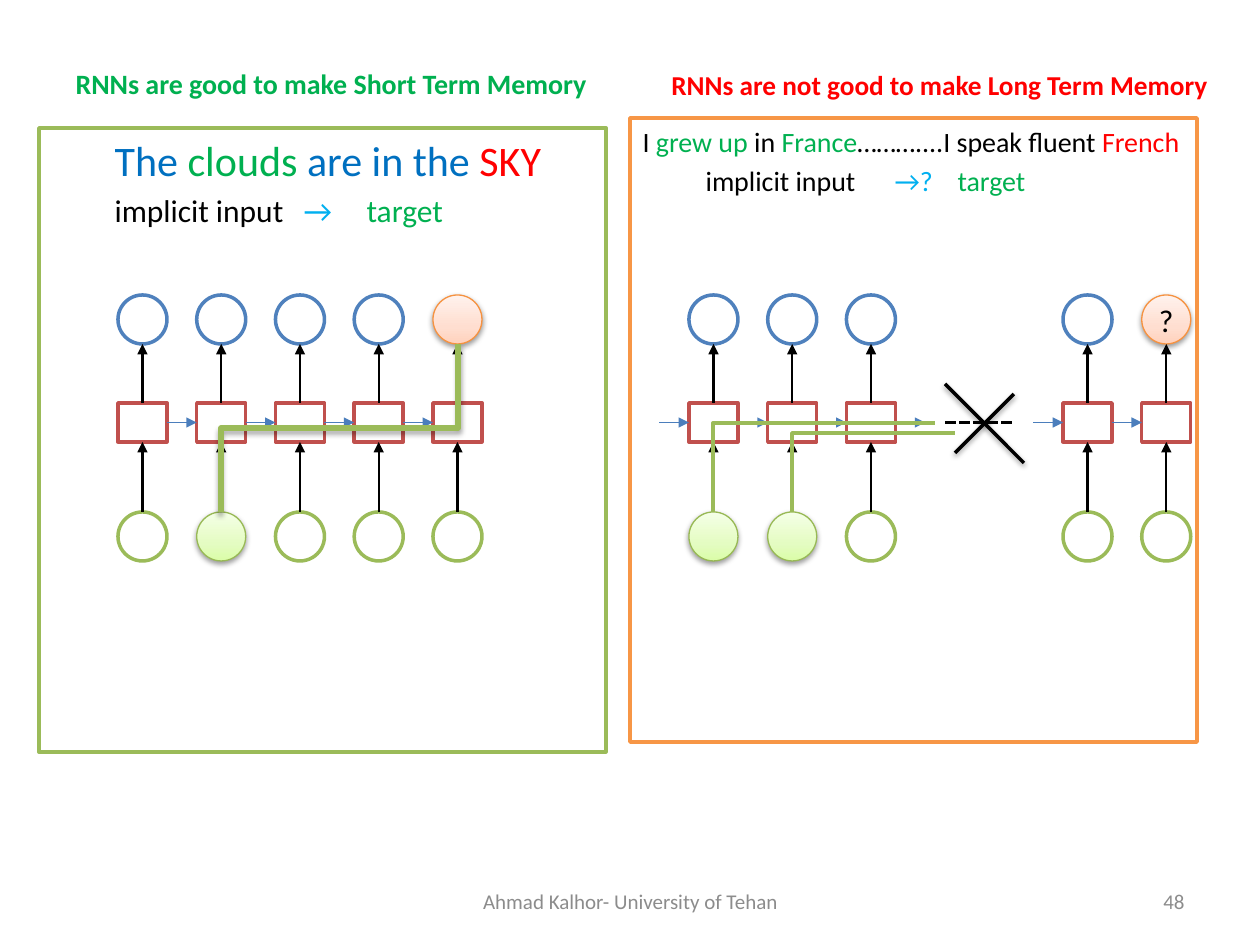
from lxml import etree
from pptx import Presentation
from pptx.dml.color import RGBColor
from pptx.enum.dml import MSO_LINE
from pptx.enum.shapes import MSO_CONNECTOR, MSO_SHAPE
from pptx.enum.text import MSO_ANCHOR, MSO_AUTO_SIZE, PP_ALIGN
from pptx.oxml.ns import qn
from pptx.util import Pt

STRAIGHT, ELBOW = MSO_CONNECTOR.STRAIGHT, MSO_CONNECTOR.ELBOW
OVAL, RECTANGLE = MSO_SHAPE.OVAL, MSO_SHAPE.RECTANGLE
LEFT, CENTER, RIGHT = PP_ALIGN.LEFT, PP_ALIGN.CENTER, PP_ALIGN.RIGHT
TOP, MIDDLE = MSO_ANCHOR.TOP, MSO_ANCHOR.MIDDLE

THEME = {
    "font": "Calibri", "black": "000000", "white": "FFFFFF", "grey": "8C8C8C",
    "green": "00B050", "red": "FF0000", "blue": "0070C0", "sky": "00B0F0",
    "output": "4F81BD", "hidden": "C0504D", "input": "9BBB59",
    "orange": "F79646", "step": "4B7EBC",
    "large": 24, "medium": 18, "small": 16, "heading": 15.6, "footer": 12,
}
# Highlighted node: line colour and gradient stops
GREEN_GLOW = ("98B955", [(0, "DAFDA7"), (35, "E4FCC2"), (100, "F5FFE7")])
ORANGE_GLOW = ("F69240", [(0, "FFD2BD"), (35, "FFDED0"), (100, "FFF2ED")])

# Content: each run is (text, colour, tab stop in px or None)
SHORT_HEADING = "RNNs are good to make Short Term Memory"
LONG_HEADING = "RNNs are not good to make Long Term Memory"
SHORT_LINES = [
    ("large", [("The ", "blue", 66), ("clouds", "green", None),
               (" are in the ", "blue", None), ("SKY", "red", None)]),
    ("medium", [("implicit input", "black", 71), ("→", "sky", 311),
                ("target", "green", 425)]),
]
LONG_LINES = [
    ("small", [("I ", "black", None), ("grew up ", "green", None),
               ("in ", "black", None), ("France", "green", None),
               ("………....I speak fluent ", "black", None),
               ("French", "red", None)]),
    ("small", [("implicit input", "black", 6), ("→?", "sky", 219),
               ("target", "green", 333)]),
]
FOOTERS = [("Ahmad Kalhor- University of Tehan", (431, 876, 399, 50), CENTER),
           ("48", (903, 876, 294, 50), RIGHT)]

# Networks: left edge, column numbers, highlighted inputs, label of last output
SHORT_NETWORK = dict(left=118, columns=[0, 1, 2, 3, 4], lit=[1], label="")
LONG_NETWORK = dict(left=689, columns=[0, 1, 2, 4.75, 5.75], lit=[0, 1], label="?")
PITCH, NODE, CELL_HEIGHT = 78.75, 49, 39
OUTPUT_TOP, CELL_TOP, INPUT_TOP = 295, 403, 512
CELL_MIDDLE, OUTPUT_BOTTOM = CELL_TOP + CELL_HEIGHT / 2, OUTPUT_TOP + NODE
STEP = PITCH - NODE

presentation = Presentation()


def px(length):
    return round(length * 914400 / 126)


presentation.slide_width, presentation.slide_height = px(1260), px(945)
slide = presentation.slides.add_slide(presentation.slide_layouts[3])
title, short_panel, long_panel = slide.placeholders


def color(name):
    return RGBColor.from_string(THEME.get(name, name))


def place(shape, box):
    shape.left, shape.top, shape.width, shape.height = map(px, box)
    return shape


def add_text(paragraph, text, size, ink, bold=False, align=LEFT):
    paragraph.alignment = align
    run = paragraph.add_run()
    run.text = text
    run.font.name, run.font.size = THEME["font"], Pt(THEME[size])
    run.font.bold, run.font.color.rgb = bold, color(ink)


def set_frame(shape, anchor, wrap=True):
    frame = shape.text_frame
    frame.word_wrap, frame.vertical_anchor = wrap, anchor
    frame.auto_size = MSO_AUTO_SIZE.NONE
    return frame


def add_label(box, text, size, ink, **form):
    label = slide.shapes.add_textbox(*map(px, box))
    add_text(set_frame(label, MIDDLE).paragraphs[0], text, size, ink, **form)


def add_shadow(effects, alpha=38, distance=1.6):
    shadow = etree.SubElement(effects, qn("a:outerShdw"), blurRad=str(Pt(3.1)),
                              dist=str(Pt(distance)), dir="5400000", rotWithShape="0")
    ink = etree.SubElement(shadow, qn("a:srgbClr"), val=THEME["black"])
    etree.SubElement(ink, qn("a:alpha"), val=str(alpha * 1000))


def outline(shape, fill, line, width=2):
    shape.fill.solid()
    shape.fill.fore_color.rgb = color(fill)
    shape.line.color.rgb, shape.line.width = color(line), Pt(width)


def fill_panel(panel, box, line, rows):
    outline(place(panel, box), "white", line)
    frame = set_frame(panel, TOP)
    for index, (size, runs) in enumerate(rows):
        paragraph = frame.add_paragraph() if index else frame.paragraphs[0]
        properties = paragraph._p.get_or_add_pPr()
        properties.set("marL", "0")
        properties.set("indent", "0")
        etree.SubElement(properties, qn("a:buNone"))
        tabs = etree.SubElement(properties, qn("a:tabLst"))
        for text, ink, stop in runs:
            if stop:
                etree.SubElement(tabs, qn("a:tab"), pos=str(px(stop)), algn="l")
                text = "\t" + text
            add_text(paragraph, text, size, ink)


def add_node(kind, left, top, height, line, glow=None):
    node = slide.shapes.add_shape(kind, px(left), px(top), px(NODE), px(height))
    node.shadow.inherit = False
    outline(node, "white", line)
    if glow:
        line_color, stops = glow
        outline(node, "white", line_color, 0.75)
        node.fill.gradient()
        node.fill.gradient_angle = 90
        properties = node._element.spPr
        stop_list = properties.find(".//" + qn("a:gsLst"))
        for stop in list(stop_list):
            stop_list.remove(stop)
        for position, ink in stops:
            stop = etree.SubElement(stop_list, qn("a:gs"), pos=str(position * 1000))
            etree.SubElement(stop, qn("a:srgbClr"), val=ink)
        add_shadow(properties.find(qn("a:effectLst")))
    return node


def add_line(start, end, ink, width, arrow=False, dash=None, shadow=None,
             kind=STRAIGHT, join=(None, None)):
    line = slide.shapes.add_connector(kind, *map(px, (*start, *end)))
    if join[0]:
        line.begin_connect(*join[0])
    if join[1]:
        line.end_connect(*join[1])
    line.line.color.rgb, line.line.width = color(ink), Pt(width)
    if dash:
        line.line.dash_style = dash
    if arrow:
        etree.SubElement(line.line._get_or_add_ln(), qn("a:tailEnd"), type="triangle")
    effects = etree.SubElement(line._element.spPr, qn("a:effectLst"))
    if shadow:
        add_shadow(effects, **shadow)
    return line


def add_route(start, end, preset, width, **shadow):
    """Elbow that leaves upwards: a flipped connector turned by a quarter."""
    (x1, y1), (x2, y2) = start, end
    middle_x, middle_y = (x1 + x2) / 2, (y1 + y2) / 2
    half_width, half_height = (y1 - y2) / 2, (x2 - x1) / 2
    route = add_line((middle_x + half_width, middle_y + half_height),
                     (middle_x - half_width, middle_y - half_height),
                     "input", width, kind=ELBOW, shadow=shadow)
    route.rotation = 90
    route._element.spPr.find(qn("a:prstGeom")).set("prst", preset)


def add_network(left, columns, lit, label):
    cells = []
    for index, column in enumerate(columns):
        x = left + column * PITCH
        center = x + NODE / 2
        last = index == len(columns) - 1
        output = add_node(OVAL, x, OUTPUT_TOP, NODE, "output", ORANGE_GLOW if last else None)
        cell = add_node(RECTANGLE, x, CELL_TOP, CELL_HEIGHT, "hidden")
        source = add_node(OVAL, x, INPUT_TOP, NODE, "input",
                          GREEN_GLOW if index in lit else None)
        add_line((center, INPUT_TOP), (center, CELL_TOP + CELL_HEIGHT), "black", 1.25,
                 arrow=True, join=((source, 0), (cell, 2)))
        add_line((center, CELL_TOP), (center, OUTPUT_BOTTOM), "black", 1.25,
                 arrow=True, join=((cell, 0), None))
        cells.append(cell)
        if last and label:
            frame = set_frame(output, MIDDLE, wrap=False)
            add_text(frame.paragraphs[0], label, "medium", "black", align=CENTER)
    # Steps between neighbouring cells
    for index in range(len(cells) - 1):
        if columns[index + 1] - columns[index] == 1:
            x = left + columns[index] * PITCH + NODE
            add_line((x, CELL_MIDDLE), (x + STEP, CELL_MIDDLE), "step", 1, arrow=True,
                     join=((cells[index], 3), (cells[index + 1], 1)))
    return cells


# Headings, panels and footer
place(title, (63, 38, 596, 91))
add_text(set_frame(title, MIDDLE).paragraphs[0], SHORT_HEADING, "small", "green", bold=True)
fill_panel(short_panel, (39, 128, 567, 624), "input", SHORT_LINES)
fill_panel(long_panel, (630, 118, 567, 624), "orange", LONG_LINES)
add_label((659, 39, 592, 91), LONG_HEADING, "heading", "red", bold=True)
for text, box, align in FOOTERS:
    add_label(box, text, "footer", "grey", align=align)

# Networks, with the open steps around the gap in the long one
add_network(**SHORT_NETWORK)
long_cells = add_network(**LONG_NETWORK)
for index, side in ((0, 1), (2, 3), (3, 1)):
    x = LONG_NETWORK["left"] + LONG_NETWORK["columns"][index] * PITCH
    inner, joint = (x, CELL_MIDDLE), (long_cells[index], side)
    if side == 3:
        add_line((x + NODE, CELL_MIDDLE), (x + PITCH, CELL_MIDDLE), "step", 1,
                 arrow=True, join=(joint, None))
    else:
        add_line((x - STEP, CELL_MIDDLE), inner, "step", 1, arrow=True, join=(None, joint))
add_line((945, CELL_MIDDLE), (1014, CELL_MIDDLE), "black", 2, dash=MSO_LINE.SQUARE_DOT)

# Memory routes and the cross over the broken one
add_route((221, INPUT_TOP), (458, OUTPUT_BOTTOM), "bentConnector3", 3, alpha=35, distance=1.8)
add_route((713, INPUT_TOP), (935, 423), "bentConnector2", 2)
add_route((792, INPUT_TOP), (955, 433), "bentConnector2", 2)
for start, end in (((945, 384), (1024, 463)), ((955, 453), (1014, 394))):
    add_line(start, end, "black", 2, shadow={"alpha": 38})

presentation.save("out.pptx")
